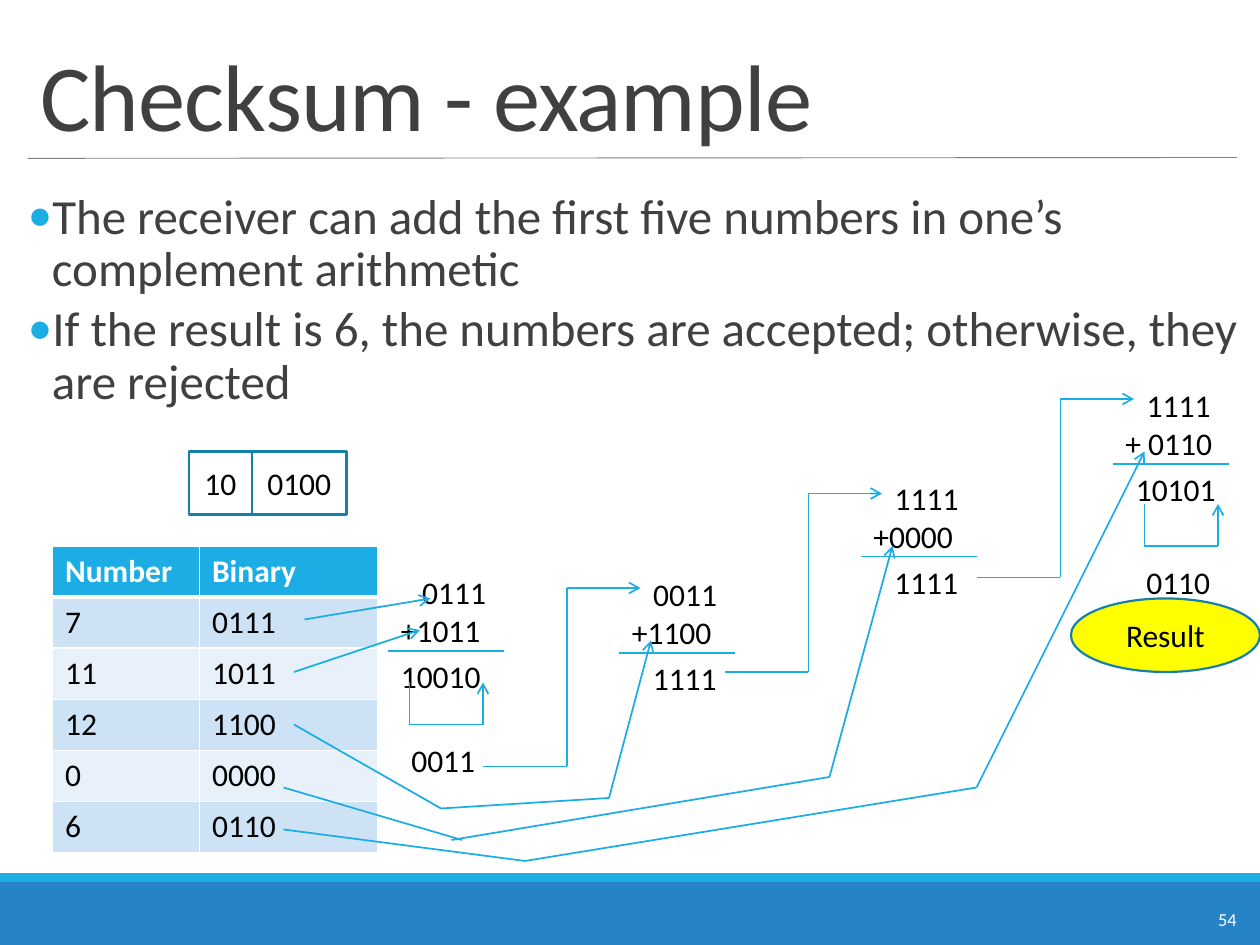
from itertools import pairwise

from lxml.etree import SubElement
from pptx import Presentation
from pptx.dml.color import RGBColor
from pptx.enum.shapes import MSO_CONNECTOR, MSO_SHAPE
from pptx.enum.text import MSO_ANCHOR, PP_ALIGN
from pptx.oxml.ns import qn
from pptx.util import Pt

BLUE, DARK, EDGE = "1CADE4", "404040", "1580A9"
WHITE, BLACK = "FFFFFF", "000000"


def hue(code):
    return RGBColor.from_string(code)


def tint(node, code):
    fill = SubElement(node, qn("a:solidFill"))
    SubElement(fill, qn("a:srgbClr"), val=code)


class Deck:
    font = "Calibri"
    size = 18

    def __init__(self, wide, high):
        self.show = Presentation()
        self.show.slide_width, self.show.slide_height = Pt(wide), Pt(high)
        self.slide = self.show.slides.add_slide(self.show.slide_layouts[6])

    def style(self, para, size=None, color=BLACK, bold=False):
        for run in para.runs:
            run.font.name = self.font
            run.font.size = Pt(size or self.size)
            run.font.color.rgb = hue(color)
            run.font.bold = bold

    def text(self, box, lines, size=None, color=BLACK, wrap=True):
        frame = self.slide.shapes.add_textbox(*map(Pt, box)).text_frame
        frame.word_wrap = wrap
        frame.text = "\n".join(lines)
        for para in frame.paragraphs:
            self.style(para, size, color)
        return frame

    def title(self, box, words):
        frame = self.text(box, [words], 54, DARK)
        frame.vertical_anchor = MSO_ANCHOR.BOTTOM
        para = frame.paragraphs[0]
        para.line_spacing = 0.85
        para.runs[0].font._element.set("spc", "-50")

    def bullets(self, box, lines, gaps):
        frame = self.text(box, lines, 28, DARK)
        frame.margin_left = frame.margin_right = 0
        for para, (above, below) in zip(frame.paragraphs, gaps):
            para.line_spacing = 0.9
            para.space_before, para.space_after = Pt(above), Pt(below)
            props = para._p.get_or_add_pPr()
            props.set("marL", str(Pt(13.7)))
            props.set("indent", str(-Pt(13.7)))
            mark = SubElement(props, qn("a:buClr"))
            SubElement(mark, qn("a:srgbClr"), val=BLUE)
            SubElement(props, qn("a:buFont"), typeface=self.font)
            SubElement(props, qn("a:buChar"), char="•")

    def shape(self, kind, box, fill=None, edge=None, words=""):
        item = self.slide.shapes.add_shape(kind, *map(Pt, box))
        item.shadow.inherit = False
        if fill:
            item.fill.solid()
            item.fill.fore_color.rgb = hue(fill)
        else:
            item.fill.background()
        if edge:
            item.line.color.rgb = hue(edge)
            item.line.width = Pt(1.25)
        else:
            item.line.fill.background()
        if words:
            frame = item.text_frame
            frame.text = words
            frame.vertical_anchor = MSO_ANCHOR.MIDDLE
            frame.paragraphs[0].alignment = PP_ALIGN.CENTER
            self.style(frame.paragraphs[0])

    def line(self, start, end, color=BLUE, width=1, arrow=False):
        item = self.slide.shapes.add_connector(
            MSO_CONNECTOR.STRAIGHT, *map(Pt, start + end))
        item.line.color.rgb = hue(color)
        item.line.width = Pt(width)
        if arrow:
            SubElement(item.line._get_or_add_ln(), qn("a:tailEnd"), type="arrow")
        SubElement(item._element.spPr, qn("a:effectLst"))

    def route(self, *stops, arrow=True):
        for start, end in pairwise(stops):
            self.line(start, end, arrow=arrow and end == stops[-1])

    def table(self, left, top, cols, high, rows):
        box = (left, top, sum(cols), high * len(rows))
        grid = self.slide.shapes.add_table(
            len(rows), len(cols), *map(Pt, box)).table
        for col, wide in zip(grid.columns, cols):
            col.width = Pt(wide)
        for r, row in enumerate(rows):
            grid.rows[r].height = Pt(high)
            head = r == 0
            for c, words in enumerate(row):
                cell = grid.cell(r, c)
                cell.text = words
                self.style(cell.text_frame.paragraphs[0],
                           color=WHITE if head else BLACK, bold=head)
                self.border(cell, top=3 if r == 1 else 1, base=3 if head else 1)
                cell.fill.solid()
                band = "CDE3F5" if r % 2 else "E8F1FA"
                cell.fill.fore_color.rgb = hue(BLUE if head else band)

    def border(self, cell, top, base):
        props = cell._tc.get_or_add_tcPr()
        for side, width in zip("LRTB", (1, 1, top, base)):
            tint(SubElement(props, qn("a:ln" + side), w=str(Pt(width))), WHITE)

    def sum(self, left, top, first, second, total, shift):
        frame = self.text((left, top, 84, 51), [first, second])
        frame.paragraphs[0]._p.get_or_add_pPr().set("marL", str(Pt(12.2)))
        self.line((left, top + 48), (left + 66, top + 48))
        self.text((left + shift, top + 48, 78, 29), [total])

    def carry(self, x, y):
        self.route((x, y), (x, y + 24), (x + 42, y + 24), (x + 42, y))

    def step(self, x, y):
        self.route((x, y), (x + 48, y), (x + 48, y - 102), (x + 90, y - 102))


def main():
    deck = Deck(720, 540)

    # Footer bars, title rule and page number
    deck.shape(MSO_SHAPE.RECTANGLE, (0, 504, 720, 36), "2683C6")
    deck.shape(MSO_SHAPE.RECTANGLE, (0, 499, 720, 5), BLUE)
    deck.line((16, 90.5), (707, 90), "808080", 0.5)
    deck.text((689, 515.5, 26.6, 20), ["54"], 10.5, WHITE, wrap=False)

    # Title and bullets
    deck.title((16, 18, 691, 72), "Checksum - example")
    deck.bullets((16, 106, 691, 248), [
        "The receiver can add the first five numbers in one’s complement arithmetic",
        "If the result is 6, the numbers are accepted; otherwise, they are rejected",
    ], [(12, 2), (2, 4)])

    # Split number and table of values
    deck.shape(MSO_SHAPE.RECTANGLE, (108, 258, 36, 36), edge=EDGE, words="10")
    deck.shape(MSO_SHAPE.RECTANGLE, (144, 258, 54, 36), edge=EDGE, words="0100")
    deck.table(30, 312, (84, 102), 29.2, [
        ("Number", "Binary"), ("7", "0111"), ("11", "1011"),
        ("12", "1100"), ("0", "0000"), ("6", "0110")])

    # Sums, left to right
    for item in [
        (222, 324, "0111", "+1011", "10010", 0),
        (354, 325, "0011", "+1100", "1111", 12),
        (492, 270, "1111", "+0000", "1111", 12),
        (636, 217, "1111", "+ 0110", "10101", 6),
    ]:
        deck.sum(*item)

    # Carries wrapped round, and what they give
    for x, y in [(234, 390), (654, 288)]:
        deck.carry(x, y)
    deck.text((228, 420, 78, 29), ["0011"])
    deck.text((648, 318, 72, 30), ["0110"])

    # Each total moves on to the next sum
    for x, y in [(276, 438), (414, 384), (558, 330)]:
        deck.step(x, y)

    # Table values feed the sums
    deck.route((174, 354), (246, 342))
    deck.route((168, 384), (240, 360))
    deck.route((168, 414), (252, 462), (348, 456), (372, 366))
    deck.route((162, 450), (264, 480), arrow=False)
    deck.route((258, 480), (474, 444), (510, 312))
    deck.route((162, 474), (300, 492), (558, 450), (654, 258))

    # Result
    deck.shape(MSO_SHAPE.OVAL, (612, 342, 108, 42), "FFFF00", EDGE, "Result")

    deck.show.save("out.pptx")


if __name__ == "__main__":
    main()
